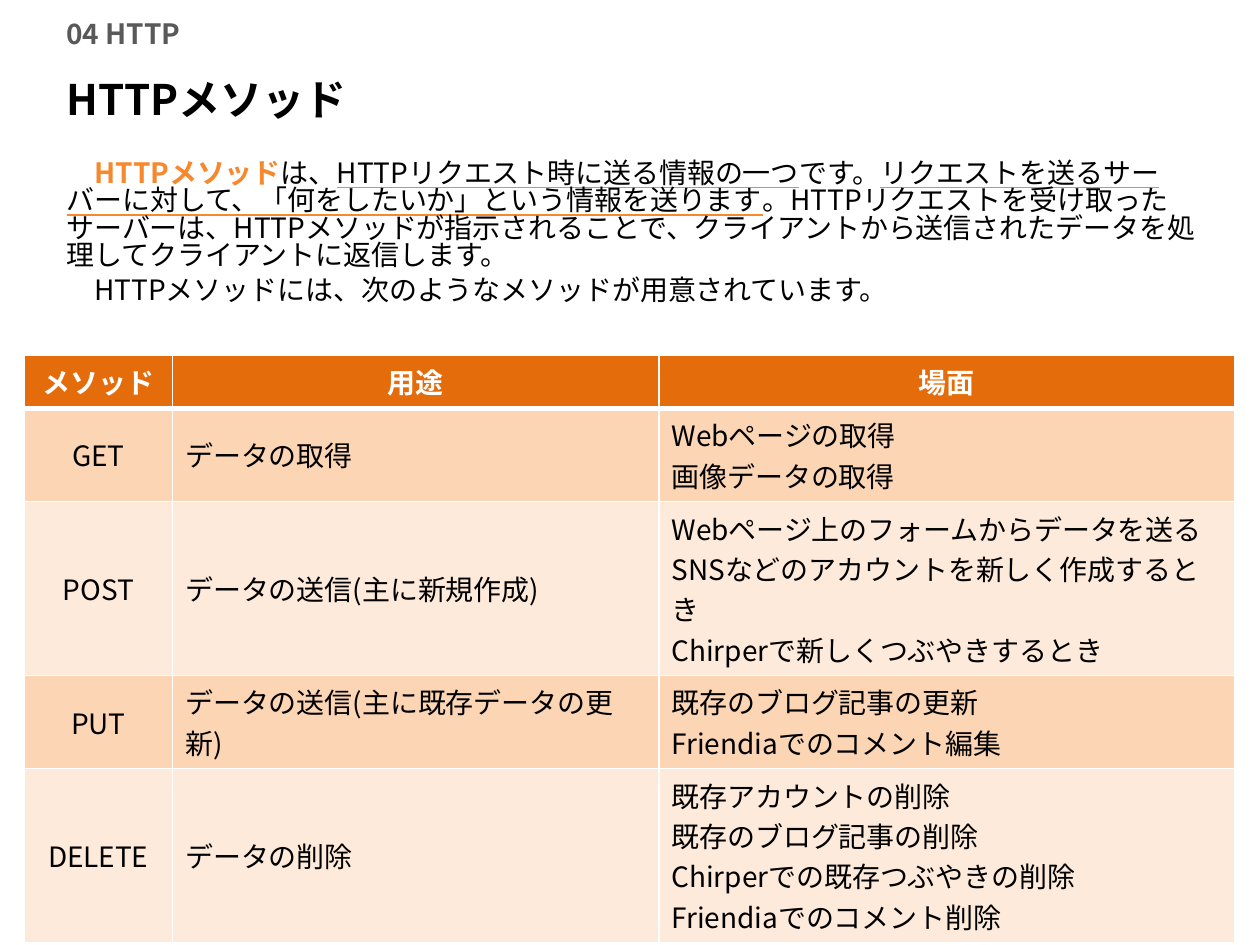
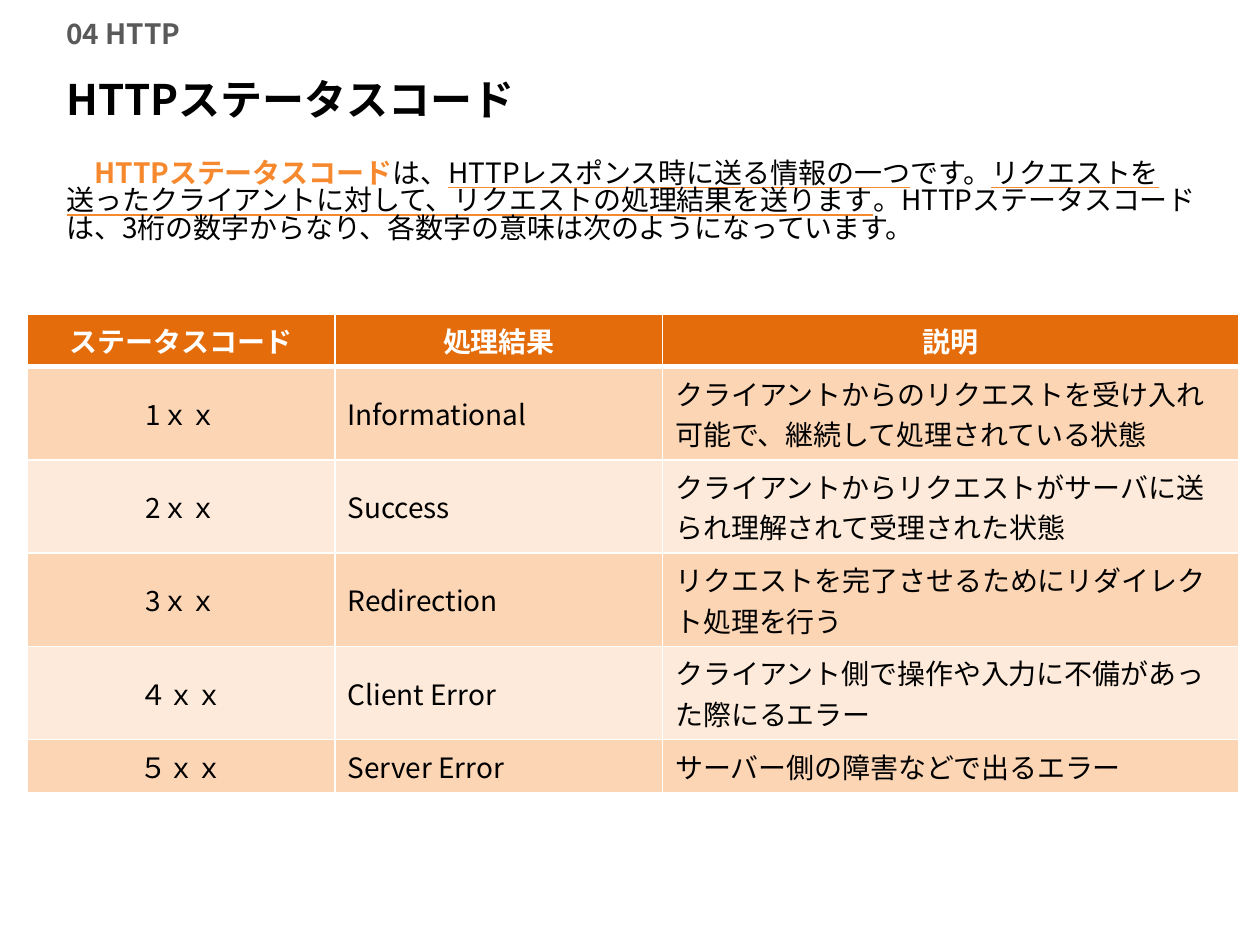
from lxml.etree import SubElement
from pptx import Presentation
from pptx.dml.color import RGBColor
from pptx.enum.lang import MSO_LANGUAGE_ID
from pptx.enum.text import MSO_ANCHOR, PP_ALIGN
from pptx.oxml import parse_xml
from pptx.oxml.ns import nsdecls, qn
from pptx.util import Inches, Pt

FONT = "Noto Sans CJK JP"
WHITE, BLACK, GRAY = "FFFFFF", "000000", "595959"
ACCENT, HEADER = "F6882E", "E46C0A"
BANDS = ("FCD5B5", "FDEADA")
LINE_HEIGHT, CELL_PADDING = 0.32, 0.1

# Kinds of run in the body text
PLAIN, TERM, KEY = "plain", "term", "key"


def rgb(color):
    return RGBColor.from_string(color)


class Deck:
    """Holds the shared style and the slide being built."""

    def __init__(self):
        self.presentation = Presentation()
        self.presentation.slide_width = Inches(10)
        self.presentation.slide_height = Inches(7.5)
        self.slide = None

    def add_slide(self, title):
        self.slide = self.presentation.slides.add_slide(self.presentation.slide_layouts[6])
        self.add_heading("04 HTTP", 0, 3.7, 0.53, 16, GRAY)
        self.add_heading(title, 0.46, 8.38, 0.64, 24, BLACK)

    def add_run(self, paragraph, text, size=16, color=BLACK, bold=False):
        run = paragraph.add_run()
        run.text = text
        font = run.font
        font.size, font.bold, font.name = Pt(size), bold, FONT
        font.color.rgb = rgb(color)
        font.language_id = MSO_LANGUAGE_ID.JAPANESE
        SubElement(font._element, qn("a:ea"), typeface=FONT)
        return run

    def underline(self, run):
        """Underline the run in the accent colour."""
        run.font.underline = True
        line_fill = parse_xml(
            f'<a:uFill {nsdecls("a")}><a:solidFill><a:srgbClr val="{ACCENT}"/>'
            "</a:solidFill></a:uFill>")
        run.font._element.find(qn("a:latin")).addprevious(line_fill)

    def add_text_frame(self, top, width, height, anchor):
        box = self.slide.shapes.add_textbox(
            Inches(0.43), Inches(top), Inches(width), Inches(height))
        frame = box.text_frame
        frame.word_wrap = True
        frame.vertical_anchor = anchor
        return frame

    def add_heading(self, text, top, width, height, size, color):
        frame = self.add_text_frame(top, width, height, MSO_ANCHOR.MIDDLE)
        self.add_run(frame.paragraphs[0], text, size, color, bold=True)

    def add_body(self, paragraphs):
        """Each paragraph is a list of (kind, text) runs."""
        frame = self.add_text_frame(1.23, 9.19, 5.43, MSO_ANCHOR.TOP)
        for index, runs in enumerate(paragraphs):
            paragraph = frame.paragraphs[0] if index == 0 else frame.add_paragraph()
            paragraph.space_before = Pt(4)
            paragraph.line_spacing = 0.82
            for kind, text in runs:
                is_term = kind == TERM
                run = self.add_run(paragraph, text, color=ACCENT if is_term else BLACK,
                                   bold=is_term)
                if kind == KEY:
                    self.underline(run)

    def add_borders(self, cell, top, bottom):
        """White borders; the widths of the top and bottom lines are in points."""
        widths = {"lnL": 1, "lnR": 1, "lnT": top, "lnB": bottom}
        for index, (tag, width) in enumerate(widths.items()):
            border = parse_xml(
                f'<a:{tag} {nsdecls("a")} w="{Pt(width)}"><a:solidFill>'
                f'<a:srgbClr val="{WHITE}"/></a:solidFill></a:{tag}>')
            cell._tc.get_or_add_tcPr().insert(index, border)

    def fill_cell(self, cell, text, row, column):
        is_header = row == 0
        cell.vertical_anchor = MSO_ANCHOR.MIDDLE
        cell.fill.solid()
        cell.fill.fore_color.rgb = rgb(HEADER if is_header else BANDS[(row - 1) % 2])
        self.add_borders(cell, top=3 if row == 1 else 1, bottom=3 if is_header else 1)
        frame = cell.text_frame
        for index, line in enumerate(text.split("\n")):
            paragraph = frame.paragraphs[0] if index == 0 else frame.add_paragraph()
            centred = is_header or column == 0
            paragraph.alignment = PP_ALIGN.CENTER if centred else PP_ALIGN.LEFT
            self.add_run(paragraph, line, color=WHITE if is_header else BLACK, bold=is_header)

    def add_table(self, left, top, column_widths, line_counts, rows):
        """line_counts gives the number of text lines each row has room for."""
        heights = [LINE_HEIGHT * count + CELL_PADDING for count in line_counts]
        table = self.slide.shapes.add_table(
            len(rows), len(column_widths), Inches(left), Inches(top),
            Inches(sum(column_widths)), Inches(sum(heights))).table
        for column, width in zip(table.columns, column_widths):
            column.width = Inches(width)
        for row, height in zip(table.rows, heights):
            row.height = Inches(height)
        for row, texts in enumerate(rows):
            for column, text in enumerate(texts):
                self.fill_cell(table.cell(row, column), text, row, column)


def add_methods_slide(deck):
    deck.add_slide("HTTPメソッド")
    deck.add_body([
        [(PLAIN, "　"), (TERM, "HTTPメソッド"), (PLAIN, "は、"),
         (KEY, "HTTPリクエスト時に送る情報の一つ"), (PLAIN, "です。"),
         (KEY, "リクエストを送るサーバーに対して、「何をしたいか」という情報を送ります"),
         (PLAIN, "。HTTPリクエストを受け取ったサーバーは、HTTPメソッドが指示されることで、"
                 "クライアントから送信されたデータを処理してクライアントに返信します。")],
        [(PLAIN, "　HTTPメソッドには、次のようなメソッドが用意されています。")],
    ])
    deck.add_table(0.19, 2.82, [1.18, 3.86, 4.57], [1, 2, 4, 2, 4], [
        ("メソッド", "用途", "場面"),
        ("GET", "データの取得", "Webページの取得\n画像データの取得"),
        ("POST", "データの送信(主に新規作成)",
         "Webページ上のフォームからデータを送る\n"
         "SNSなどのアカウントを新しく作成するとき\n"
         "Chirperで新しくつぶやきするとき"),
        ("PUT", "データの送信(主に既存データの更新)",
         "既存のブログ記事の更新\nFriendiaでのコメント編集"),
        ("DELETE", "データの削除",
         "既存アカウントの削除\n既存のブログ記事の削除\n"
         "Chirperでの既存つぶやきの削除\nFriendiaでのコメント削除"),
    ])


def add_status_codes_slide(deck):
    deck.add_slide("HTTPステータスコード")
    deck.add_body([
        [(PLAIN, "　"), (TERM, "HTTPステータスコード"), (PLAIN, "は、"),
         (KEY, "HTTPレスポンス時に送る情報の一つ"), (PLAIN, "です。"),
         (KEY, "リクエストを送ったクライアントに対して、リクエストの処理結果を送ります"),
         (PLAIN, "。HTTPステータスコードは、3桁の数字からなり、"
                 "各数字の意味は次のようになっています。")],
    ])
    deck.add_table(0.22, 2.49, [2.44, 2.6, 4.57], [1, 2, 2, 2, 2, 1], [
        ("ステータスコード", "処理結果", "説明"),
        ("1ｘｘ", "Informational",
         "クライアントからのリクエストを受け入れ可能で、継続して処理されている状態"),
        ("2ｘｘ", "Success",
         "クライアントからリクエストがサーバに送られ理解されて受理された状態"),
        ("3ｘｘ", "Redirection", "リクエストを完了させるためにリダイレクト処理を行う"),
        ("４ｘｘ", "Client Error", "クライアント側で操作や入力に不備があった際にるエラー"),
        ("５ｘｘ", "Server Error", "サーバー側の障害などで出るエラー"),
    ])


def main():
    deck = Deck()
    add_methods_slide(deck)
    add_status_codes_slide(deck)
    deck.presentation.save("out.pptx")


if __name__ == "__main__":
    main()
